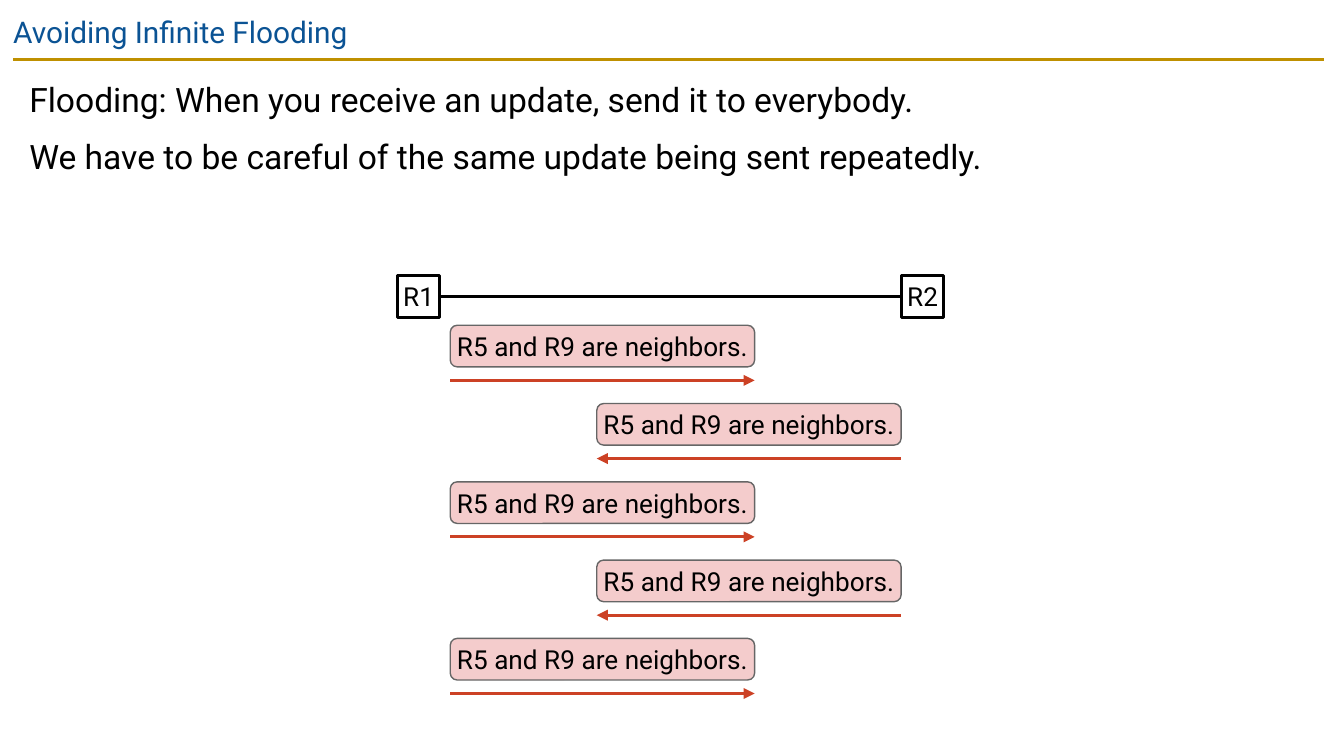
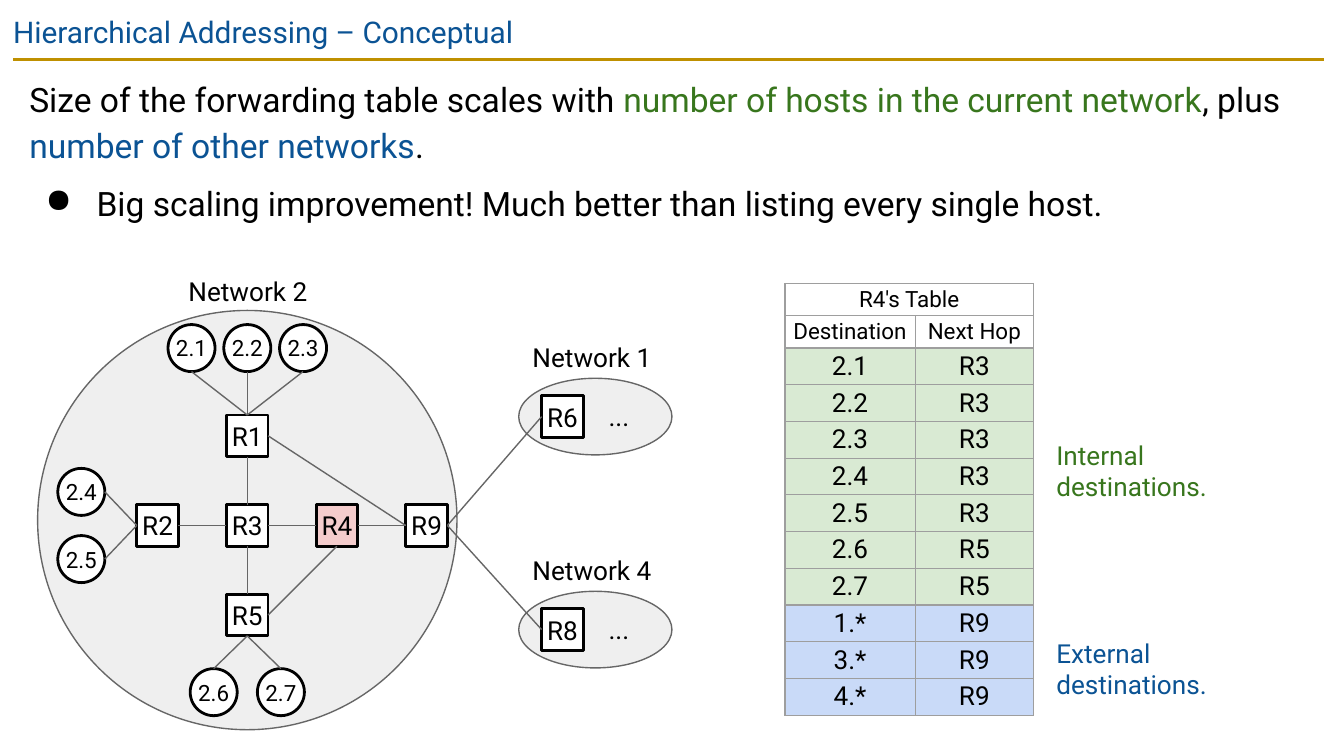
from dataclasses import dataclass

from lxml.etree import SubElement
from pptx import Presentation
from pptx.dml.color import RGBColor
from pptx.enum.shapes import MSO_CONNECTOR, MSO_SHAPE
from pptx.enum.text import MSO_ANCHOR, PP_ALIGN
from pptx.oxml.ns import qn
from pptx.util import Inches, Pt


@dataclass(frozen=True)
class Theme:
    font: str = "Roboto"
    title_size: int = 16
    body_size: int = 18
    label_size: int = 14
    small_size: int = 12
    thick: float = 1.5
    thin: float = 0.75
    black: str = "000000"
    white: str = "FFFFFF"
    blue: str = "0B5394"
    green: str = "38761D"
    gold: str = "BF9000"
    red: str = "CC4125"
    pink: str = "F4CCCC"
    gray: str = "666666"
    cloud: str = "EFEFEF"
    border: str = "9E9E9E"
    internal: str = "D9EAD3"
    external: str = "C9DAF8"


T = Theme()
WIDTH = Inches(10)
HEIGHT = WIDTH * 9 // 16
SIDES = ("top", "left", "bottom", "right")  # order of a rectangle's connection sites
ROUTER, HOST = 3.1, 3.5  # node sizes, in columns


def u(n):
    """Length of n grid columns; the slide is 100 columns wide, rows are as tall."""
    return round(WIDTH * n / 100)


def rgb(color):
    return RGBColor.from_string(color)


# Text

def add_run(p, text, size, color=T.black):
    r = p.add_run()
    r.text = text
    r.font.name = T.font
    r.font.size = Pt(size)
    r.font.color.rgb = rgb(color)


def set_frame(tf, inset=0, anchor=MSO_ANCHOR.TOP, wrap=True):
    tf.word_wrap = wrap
    tf.vertical_anchor = anchor
    tf.margin_left = tf.margin_right = tf.margin_top = tf.margin_bottom = u(inset)


def add_text(s, x, y, w, h, text, size=T.label_size, color=T.black,
             align=PP_ALIGN.LEFT, inset=0):
    tf = s.shapes.add_textbox(u(x), u(y), u(w), u(h)).text_frame
    set_frame(tf, inset)
    tf.paragraphs[0].alignment = align
    add_run(tf.paragraphs[0], text, size, color)


def add_bullet(p):
    pPr = p._p.get_or_add_pPr()
    pPr.set("marL", str(u(5)))
    pPr.set("indent", str(-u(3.8)))
    SubElement(SubElement(pPr, qn("a:buClr")), qn("a:srgbClr"), val=T.black)
    SubElement(pPr, qn("a:buChar"), char="●")


def add_body(s, height, paragraphs):
    """Each paragraph is (is_bullet, [(text, color), ...])."""
    tf = s.shapes.add_textbox(u(1.2), u(4.4), u(97.4), u(height)).text_frame
    set_frame(tf, inset=1)
    for i, (is_bullet, runs) in enumerate(paragraphs):
        p = tf.add_paragraph() if i else tf.paragraphs[0]
        p.line_spacing = 1.15
        p.space_before = Pt(6 if i else 0)
        if is_bullet:
            add_bullet(p)
        for text, color in runs:
            add_run(p, text, T.body_size, color)


# Shapes and lines

def add_box(s, kind, x, y, w, h, fill, line=T.black, weight=T.thick,
            text="", size=T.label_size):
    sp = s.shapes.add_shape(kind, u(x), u(y), u(w), u(h))
    sp.shadow.inherit = False
    if fill:
        sp.fill.solid()
        sp.fill.fore_color.rgb = rgb(fill)
    else:
        sp.fill.background()
    sp.line.color.rgb = rgb(line)
    sp.line.width = Pt(weight)
    if text:
        set_frame(sp.text_frame, anchor=MSO_ANCHOR.MIDDLE, wrap=False)
        p = sp.text_frame.paragraphs[0]
        p.alignment = PP_ALIGN.CENTER
        add_run(p, text, size)
    return sp


def add_router(s, cx, cy, name, fill=T.white):
    return add_box(s, MSO_SHAPE.RECTANGLE, cx - ROUTER / 2, cy - ROUTER / 2,
                   ROUTER, ROUTER, fill, text=name)


def add_host(s, cx, cy, name):
    return add_box(s, MSO_SHAPE.OVAL, cx - HOST / 2, cy - HOST / 2,
                   HOST, HOST, T.white, text=name, size=T.small_size)


def add_oval(s, cx, cy, w, h):
    add_box(s, MSO_SHAPE.OVAL, cx - w / 2, cy - h / 2, w, h, T.cloud, T.gray, T.thin)


def add_line(s, start, end, color, weight, arrow=None):
    c = s.shapes.add_connector(MSO_CONNECTOR.STRAIGHT, *start, *end)
    c.line.color.rgb = rgb(color)
    c.line.width = Pt(weight)
    if arrow:
        SubElement(c.line._get_or_add_ln(), qn(f"a:{arrow}"), type="triangle")
    SubElement(c._element.spPr, qn("a:effectLst"))
    return c


def side_point(sp, side):
    dx, dy = {"top": (0.5, 0), "left": (0, 0.5),
              "bottom": (0.5, 1), "right": (1, 0.5)}[side]
    return round(sp.left + dx * sp.width), round(sp.top + dy * sp.height)


def link(s, a, side_a, b, side_b, color=T.gray, weight=T.thin):
    c = add_line(s, side_point(a, side_a), side_point(b, side_b), color, weight)
    if a.auto_shape_type == MSO_SHAPE.RECTANGLE:
        c.begin_connect(a, SIDES.index(side_a))
    c.end_connect(b, SIDES.index(side_b))


# Table

def set_cell(cell, text, size, fill=None):
    cell.margin_left = cell.margin_right = 0
    cell.margin_top = cell.margin_bottom = u(0.2)
    cell.vertical_anchor = MSO_ANCHOR.MIDDLE
    p = cell.text_frame.paragraphs[0]
    p.alignment = PP_ALIGN.CENTER
    if text:
        add_run(p, text, size)
    tcPr = cell._tc.get_or_add_tcPr()
    for edge in ("lnL", "lnR", "lnT", "lnB"):
        ln = SubElement(tcPr, qn(f"a:{edge}"), w=str(Pt(T.thin)))
        SubElement(SubElement(ln, qn("a:solidFill")), qn("a:srgbClr"), val=T.border)
    if fill:
        cell.fill.solid()
        cell.fill.fore_color.rgb = rgb(fill)
    else:
        cell.fill.background()


def add_forwarding_table(s, x, y, widths, title, head, routes):
    rows = [(title, ""), head, *routes]
    heights = [2.4, 2.4] + [2.7] * len(routes)
    tbl = s.shapes.add_table(len(rows), 2, u(x), u(y),
                             u(sum(widths)), u(sum(heights))).table
    tbl.first_row = tbl.horz_banding = False
    for column, w in zip(tbl.columns, widths):
        column.width = u(w)
    for i, (values, h) in enumerate(zip(rows, heights)):
        tbl.rows[i].height = u(h)
        fill, size = None, T.small_size
        if i > 1:
            fill = T.internal if values[0].startswith("2.") else T.external
            size = T.label_size
        for j, value in enumerate(values):
            set_cell(tbl.cell(i, j), value, size, fill)
    tbl.cell(0, 0).merge(tbl.cell(0, 1))


# Slides

def new_slide(prs, title):
    s = prs.slides.add_slide(prs.slide_layouts[6])
    add_line(s, (u(1), u(4.4)), (u(98.5), u(4.4)), T.gold, T.thick)
    add_text(s, 0, 0, 100, 4.3, title, T.title_size, T.blue, inset=1)
    return s


def flooding_slide(prs):
    s = new_slide(prs, "Avoiding Infinite Flooding")
    add_body(s, 13.6, [
        (False, [("Flooding: When you receive an update, send it to everybody.", T.black)]),
        (False, [("We have to be careful of the same update being sent repeatedly.", T.black)]),
    ])
    r1 = add_router(s, 31.15, 22.05, "R1", fill=None)
    r2 = add_router(s, 68.65, 22.05, "R2", fill=None)
    link(s, r2, "left", r1, "right", T.black, T.thick)

    # The same update bounces back and forth
    w = 22.65
    for i in range(5):
        x, arrow = ((33.5, "tailEnd"), (44.4, "headEnd"))[i % 2]
        y = 24.2 + i * 23.3 / 4
        add_line(s, (u(x), u(y + 4.1)), (u(x + w), u(y + 4.1)), T.red, T.thick, arrow)
        add_box(s, MSO_SHAPE.ROUNDED_RECTANGLE, x, y, w, ROUTER, T.pink, T.gray,
                T.thin, "R5 and R9 are neighbors.")


def addressing_slide(prs):
    s = new_slide(prs, "Hierarchical Addressing – Conceptual")
    add_body(s, 14.8, [
        (False, [("Size of the forwarding table scales with ", T.black),
                 ("number of hosts in the current network", T.green),
                 (", plus ", T.black),
                 ("number of other networks", T.blue),
                 (".", T.black)]),
        (True, [("Big scaling improvement! Much better than listing every single host.",
                 T.black)]),
    ])

    # Networks
    x0, y0, step = 18.4, 39.1, 6.67  # R3 is the centre of the router grid
    add_oval(s, x0, 38.7, 31.2, 31.2)
    add_text(s, x0 - 4.5, 20.5, 9.1, 2.4, "Network 2", align=PP_ALIGN.CENTER)
    nodes = {}
    for network, router, cx, cy in (("Network 1", "R6", 41.85, 31),
                                    ("Network 4", "R8", 41.85, 46.85)):
        add_oval(s, cx + 2.45, cy, 11.4, 5.7)
        add_text(s, cx - 2.35, cy - 5.6, 9.1, 2.4, network, align=PP_ALIGN.CENTER)
        add_text(s, cx + 2.85, cy - 1.2, 2.7, 2.4, "...", align=PP_ALIGN.CENTER)
        nodes[router] = add_router(s, cx, cy, router)

    # Routers and hosts of Network 2, as columns and rows from R3
    for name, col, row in (("R1", 0, -1), ("R2", -1, 0), ("R3", 0, 0),
                           ("R4", 1, 0), ("R5", 0, 1), ("R9", 2, 0)):
        fill = T.pink if name == "R4" else T.white
        nodes[name] = add_router(s, x0 + col * step, y0 + row * step, name, fill)
    for name, dx, dy in (("2.1", -4.15, -13.2), ("2.2", 0, -13.2), ("2.3", 4.15, -13.2),
                         ("2.4", -12.35, -2.5), ("2.5", -12.35, 2.5),
                         ("2.6", -2.5, 12.4), ("2.7", 2.5, 12.4)):
        nodes[name] = add_host(s, x0 + dx, y0 + dy, name)

    # Links
    for a, side_a, b, side_b in (
            ("2.1", "bottom", "R1", "top"), ("2.2", "bottom", "R1", "top"),
            ("2.3", "bottom", "R1", "top"), ("2.4", "right", "R2", "left"),
            ("2.5", "right", "R2", "left"), ("2.6", "top", "R5", "bottom"),
            ("2.7", "top", "R5", "bottom"), ("R1", "bottom", "R3", "top"),
            ("R3", "bottom", "R5", "top"), ("R2", "right", "R3", "left"),
            ("R3", "right", "R4", "left"), ("R4", "right", "R9", "left"),
            ("R1", "right", "R9", "left"), ("R4", "bottom", "R5", "right"),
            ("R9", "right", "R6", "left"), ("R9", "right", "R8", "left")):
        link(s, nodes[a], side_a, nodes[b], side_b)

    # Forwarding table
    hops = {"R3": ("2.1", "2.2", "2.3", "2.4", "2.5"),
            "R5": ("2.6", "2.7"),
            "R9": ("1.*", "3.*", "4.*")}
    routes = [(dest, hop) for hop, dests in hops.items() for dest in dests]
    add_forwarding_table(s, 58.4, 21.1, (9.7, 8.8), "R4's Table",
                         ("Destination", "Next Hop"), routes)
    add_text(s, 78.6, 32.7, 12.3, 4.7, "Internal destinations.", color=T.green)
    add_text(s, 78.6, 47.4, 12.3, 4.7, "External destinations.", color=T.blue)


def main():
    prs = Presentation()
    prs.slide_width, prs.slide_height = WIDTH, HEIGHT
    flooding_slide(prs)
    addressing_slide(prs)
    prs.save("out.pptx")


if __name__ == "__main__":
    main()
